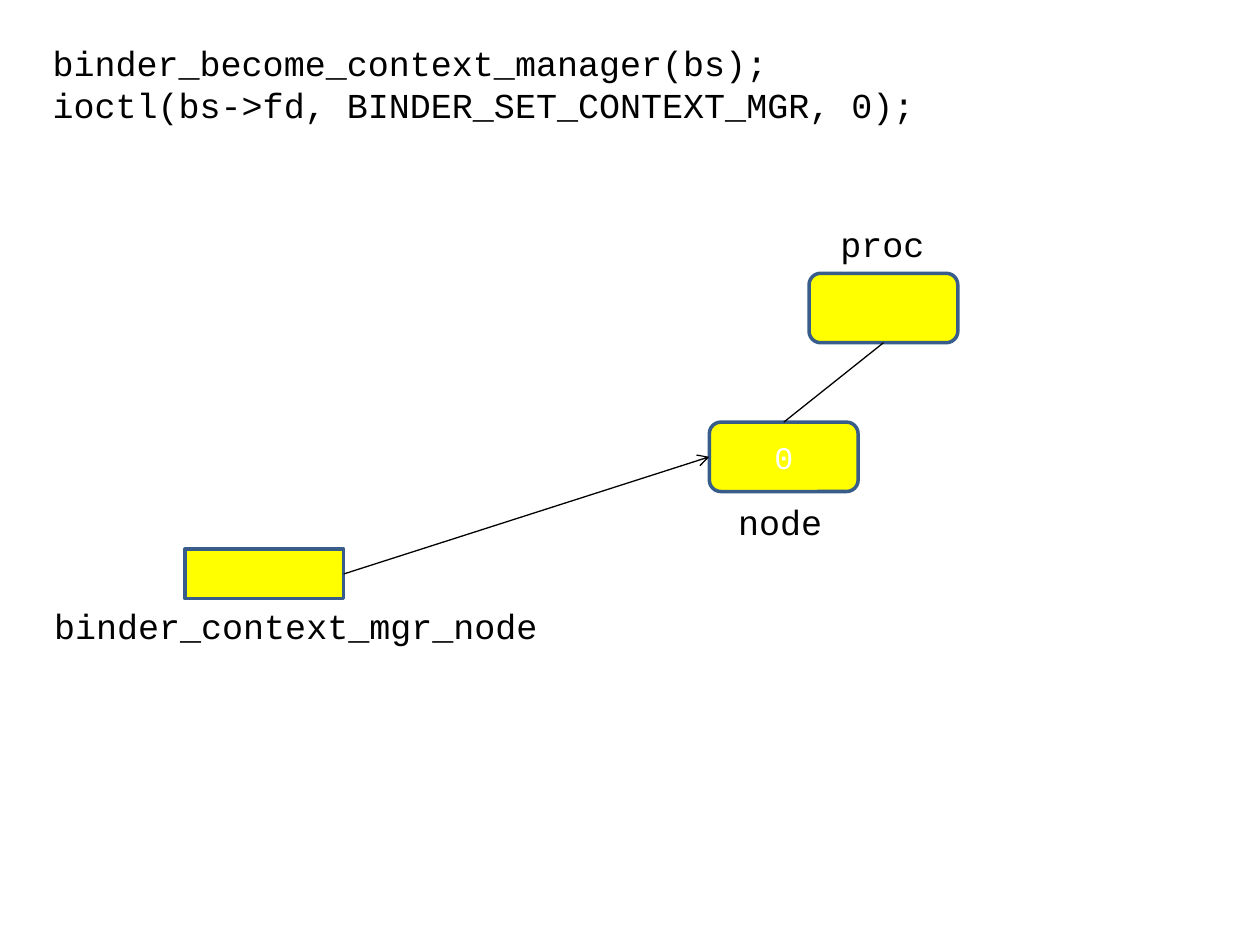
"""Build the slide on how binder registers its context manager."""
import pptx
import pptx.util
import pptx.dml.color
import pptx.enum.shapes
import pptx.enum.text
import pptx.oxml.ns
from lxml import etree

Cm, Pt = pptx.util.Cm, pptx.util.Pt
RGBColor = pptx.dml.color.RGBColor
Kind = pptx.enum.shapes.MSO_SHAPE
Align = pptx.enum.text.PP_ALIGN

BLACK = RGBColor(0, 0, 0)
WHITE = RGBColor(255, 255, 255)
YELLOW = RGBColor(255, 255, 0)
BLUE = RGBColor(0x38, 0x5D, 0x8A)
FONT = "Courier New"
TOP, LEFT, BOTTOM, RIGHT = range(4)

LABELS = [
    ("binder_become_context_manager(bs);\n"
     "ioctl(bs->fd, BINDER_SET_CONTEXT_MGR, 0);", (0.81, 0.71, 17.96, 1.96)),
    ("proc", (16.69, 4.37, 2.21, 1.12)),
    ("node", (14.63, 9.96, 2.21, 1.12)),
    ("binder_context_mgr_node", (0.84, 12.07, 10.29, 1.12)),
]
BOXES = {
    "proc": (Kind.ROUNDED_RECTANGLE, (16.31, 5.51, 3, 1.4), ""),
    "node": (Kind.ROUNDED_RECTANGLE, (14.3, 8.51, 3, 1.4), "0"),
    "mgr": (Kind.RECTANGLE, (3.73, 11.07, 3.2, 1), ""),
}
LINKS = [
    ("proc", BOTTOM, "node", TOP, False),
    ("mgr", RIGHT, "node", LEFT, True),
]


def write(frame, text, size=20, color=BLACK, align=Align.LEFT):
    frame.text = text
    for para in frame.paragraphs:
        para.alignment = align
        for run in para.runs:
            run.font.name = FONT
            run.font.size = Pt(size)
            run.font.color.rgb = color


def add_box(slide, kind, place, text):
    box = slide.shapes.add_shape(kind, *map(Cm, place))
    box.shadow.inherit = False
    box.fill.solid()
    box.fill.fore_color.rgb = YELLOW
    box.line.color.rgb = BLUE
    box.line.width = Pt(2)
    if text:
        write(box.text_frame, text, size=18, color=WHITE, align=Align.CENTER)
    return box


def add_label(slide, text, place):
    frame = slide.shapes.add_textbox(*map(Cm, place)).text_frame
    frame.word_wrap = False
    frame.auto_size = pptx.enum.text.MSO_AUTO_SIZE.SHAPE_TO_FIT_TEXT
    write(frame, text)


def add_link(slide, start, out, end, into, arrow):
    link = slide.shapes.add_connector(
        pptx.enum.shapes.MSO_CONNECTOR.STRAIGHT, 0, 0, 0, 0)
    link.begin_connect(start, out)
    link.end_connect(end, into)
    link.line.color.rgb = BLACK
    link.line.width = Pt(0.75)
    qn = pptx.oxml.ns.qn
    props = link.element.spPr
    if arrow:
        etree.SubElement(props.find(qn("a:ln")), qn("a:tailEnd"), type="arrow")
    etree.SubElement(props, qn("a:effectLst"))


def main():
    deck = pptx.Presentation()
    deck.slide_width, deck.slide_height = Cm(25.4), Cm(19.05)
    slide = deck.slides.add_slide(deck.slide_layouts[6])
    boxes = {name: add_box(slide, *data) for name, data in BOXES.items()}
    for text, place in LABELS:
        add_label(slide, text, place)
    for start, out, end, into, arrow in LINKS:
        add_link(slide, boxes[start], out, boxes[end], into, arrow)
    deck.save("out.pptx")


if __name__ == "__main__":
    main()
